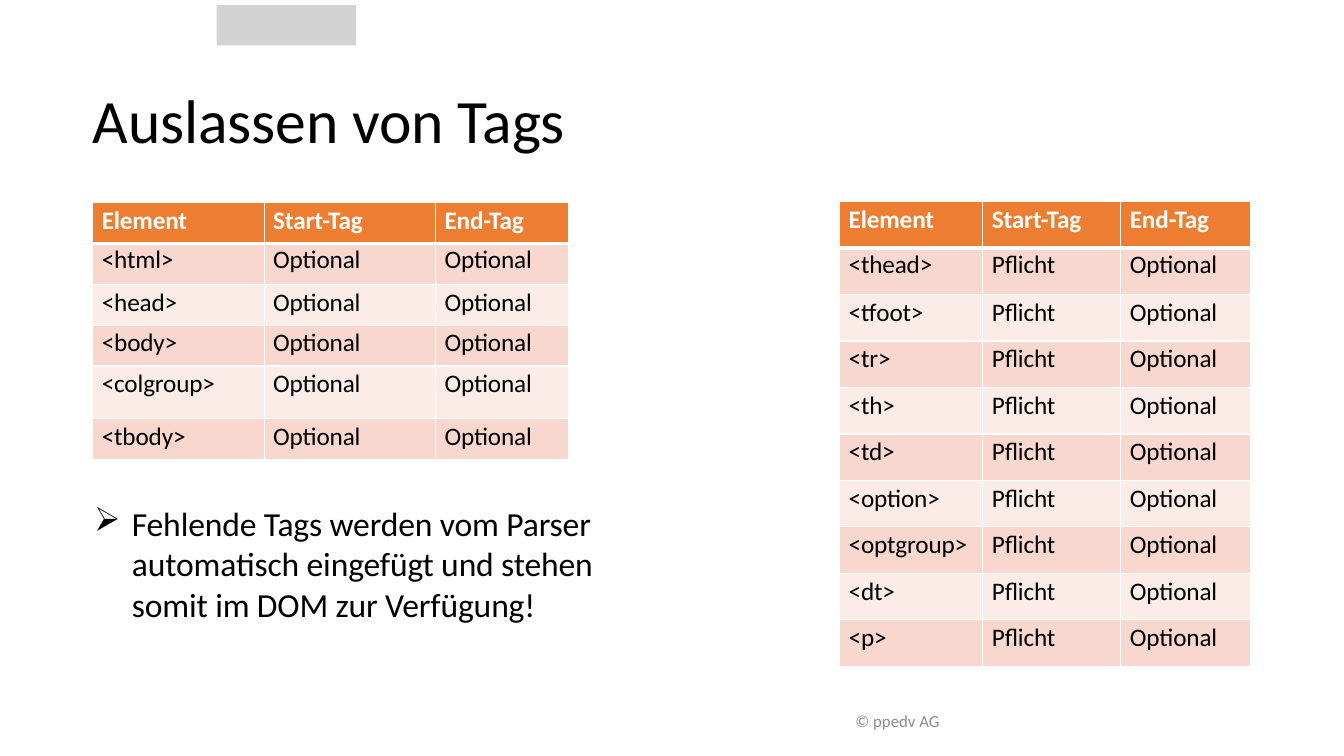
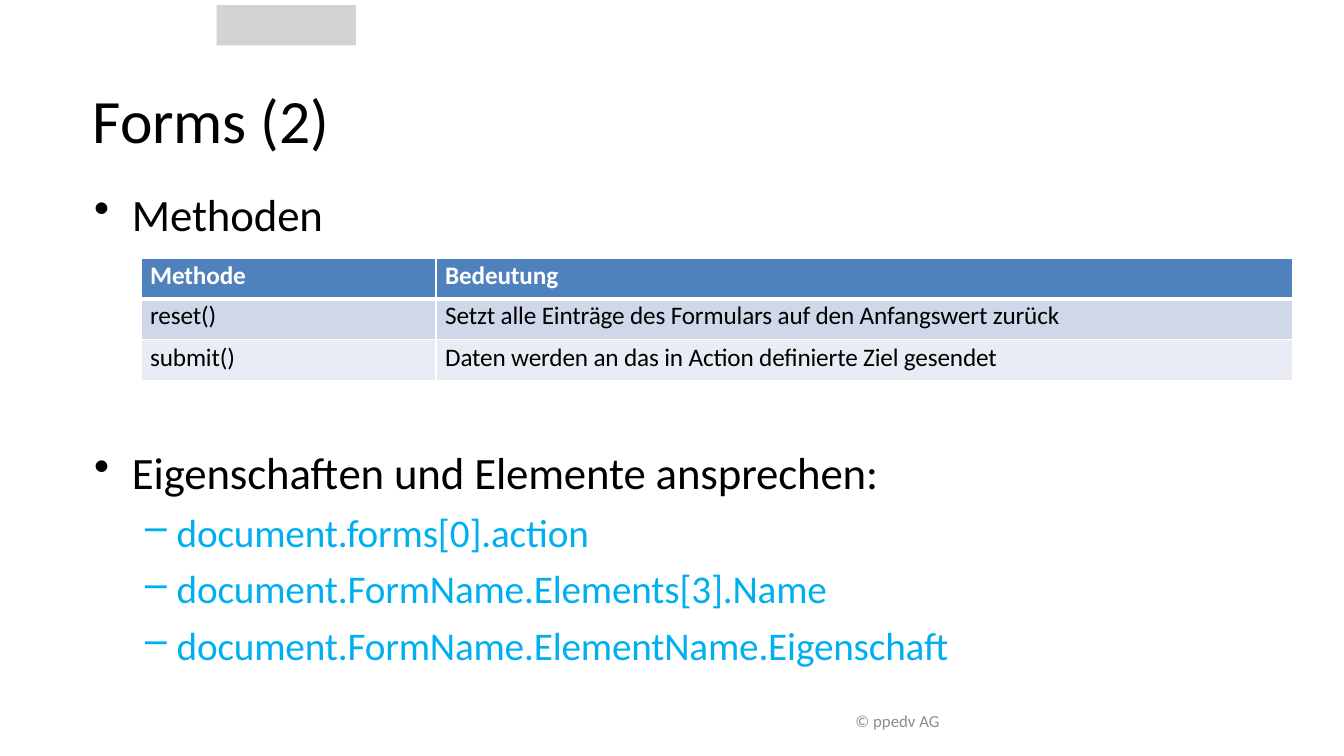
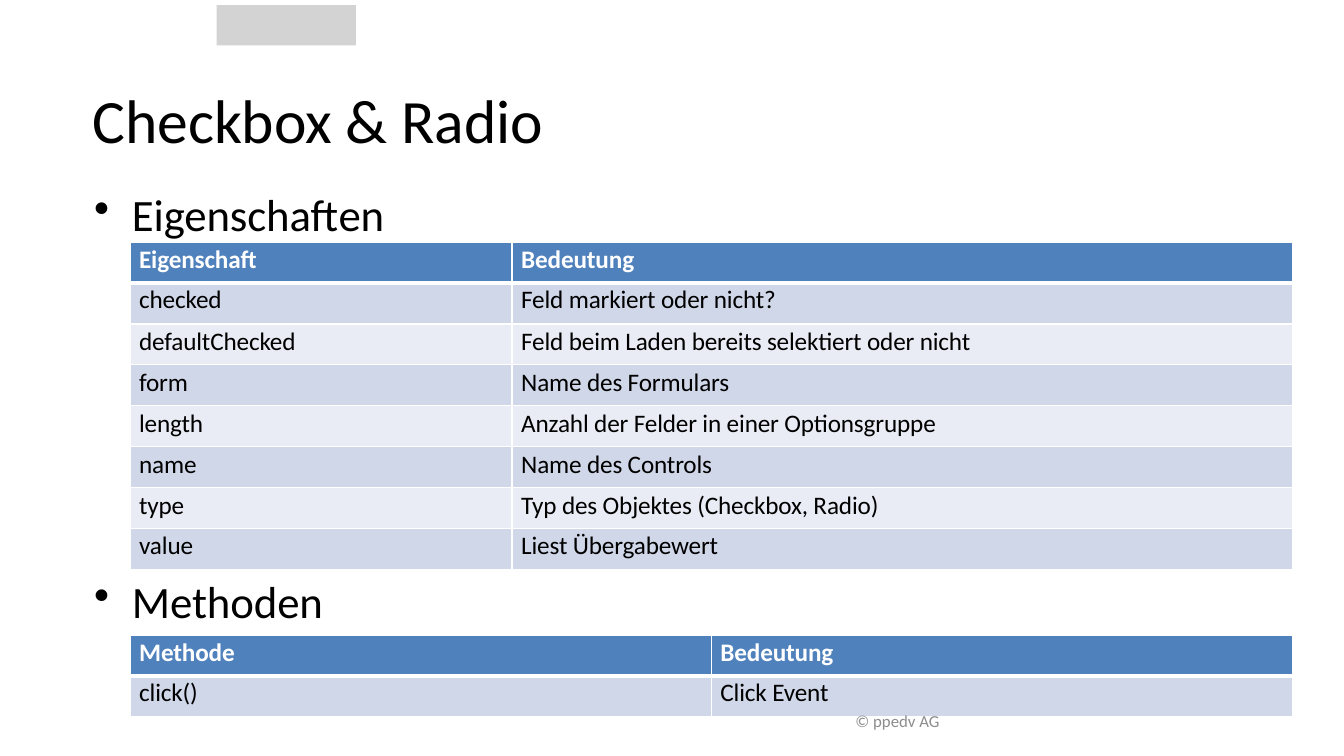
import pptx
import pptx.dml.color
import pptx.enum.shapes
import pptx.enum.text
import pptx.oxml.ns
import pptx.util
import lxml.etree

Pt = pptx.util.Pt
RGBColor = pptx.dml.color.RGBColor
qn = pptx.oxml.ns.qn
ALIGN = pptx.enum.text.PP_ALIGN
ANCHOR = pptx.enum.text.MSO_ANCHOR

FONT = "Calibri"
BLACK = RGBColor(0x00, 0x00, 0x00)
WHITE = RGBColor(0xFF, 0xFF, 0xFF)
LIGHT_GREY = RGBColor(0xD4, 0xD3, 0xD3)
FOOTER_GREY = RGBColor(0x8C, 0x8C, 0x8C)
CODE_BLUE = RGBColor(0x00, 0xAF, 0xEF)
ORANGE_BANDS = (RGBColor(0xED, 0x7D, 0x31), RGBColor(0xF8, 0xD7, 0xCE), RGBColor(0xFC, 0xEC, 0xE8))
BLUE_BANDS = (RGBColor(0x4F, 0x81, 0xBC), RGBColor(0xD0, 0xD7, 0xE8), RGBColor(0xE9, 0xEC, 0xF4))

LEFT = 66.24
ROW_HEIGHT = 29.2
THIN, THICK = 1, 3
INDENTS = ((28, -27), (60, -22.5))


def write_text(paragraph, text, size=18, color=BLACK, bold=False, align=ALIGN.LEFT,
               bullet=None, level=0, space_before=0, spacing=-0.1):
    paragraph.alignment = align
    paragraph.level = level
    if space_before:
        paragraph.space_before = Pt(space_before)
    if bullet:
        properties = paragraph._p.get_or_add_pPr()
        margin, indent = INDENTS[level]
        properties.set("marL", str(Pt(margin)))
        properties.set("indent", str(Pt(indent)))
        lxml.etree.SubElement(properties, qn("a:buChar")).set("char", bullet)
    run = paragraph.add_run()
    run.text = text
    run.font.name = FONT
    run.font.size = Pt(size)
    run.font.bold = bold
    run.font.color.rgb = color
    run._r.get_or_add_rPr().set("spc", str(round(spacing * 100)))


def set_margins(target, left=0, top=0, right=0, bottom=0):
    target.margin_left, target.margin_top = Pt(left), Pt(top)
    target.margin_right, target.margin_bottom = Pt(right), Pt(bottom)


def add_text_box(slide, left, top, width, height):
    frame = slide.shapes.add_textbox(Pt(left), Pt(top), Pt(width), Pt(height)).text_frame
    frame.word_wrap = True
    set_margins(frame)
    return frame


def add_heading(slide, text, top, width):
    frame = add_text_box(slide, LEFT, top, width, 41)
    write_text(frame.paragraphs[0], text, size=32, bullet="•")
    return frame


def add_slide(presentation, title_text):
    slide = presentation.slides.add_slide(presentation.slide_layouts[5])
    band = slide.shapes.add_shape(pptx.enum.shapes.MSO_SHAPE.RECTANGLE,
                                  Pt(154.8), Pt(3.6), Pt(99.4), Pt(28.8))
    band.shadow.inherit = False
    band.fill.solid()
    band.fill.fore_color.rgb = LIGHT_GREY
    band.line.fill.background()

    title = slide.shapes.title
    title.left, title.top, title.width, title.height = Pt(LEFT), Pt(36), Pt(828), Pt(97.2)
    title.text_frame.vertical_anchor = ANCHOR.MIDDLE
    set_margins(title.text_frame)
    write_text(title.text_frame.paragraphs[0], title_text, size=44)
    return slide


def add_footer(slide):
    frame = add_text_box(slide, LEFT, 500.4, 612, 28.8)
    frame.vertical_anchor = ANCHOR.MIDDLE
    set_margins(frame, left=7.2, top=3.6, right=7.2, bottom=3.6)
    write_text(frame.paragraphs[0], "© ppedv AG", size=12, color=FOOTER_GREY,
               align=ALIGN.RIGHT, spacing=0)


def set_borders(cell, top, bottom):
    properties = cell._tc.get_or_add_tcPr()
    sides = (("a:lnL", THIN), ("a:lnR", THIN), ("a:lnT", top), ("a:lnB", bottom))
    for position, (tag, width) in enumerate(sides):
        line = lxml.etree.Element(qn(tag), w=str(Pt(width)))
        fill = lxml.etree.SubElement(line, qn("a:solidFill"))
        lxml.etree.SubElement(fill, qn("a:srgbClr")).set("val", str(WHITE))
        properties.insert(position, line)


def add_table(slide, left, top, widths, rows, bands, row_height=ROW_HEIGHT):
    table = slide.shapes.add_table(len(rows), len(widths), Pt(left), Pt(top),
                                   Pt(sum(widths)), Pt(row_height * len(rows))).table
    for column, width in zip(table.columns, widths):
        column.width = Pt(width)
    for row_index, texts in enumerate(rows):
        table.rows[row_index].height = Pt(row_height)
        header = row_index == 0
        band = bands[0] if header else bands[2 - row_index % 2]
        for column_index, text in enumerate(texts):
            cell = table.cell(row_index, column_index)
            set_margins(cell, left=6.5, top=1 if row_index == 1 else 1.9)
            cell.fill.solid()
            cell.fill.fore_color.rgb = band
            set_borders(cell, THICK if row_index == 1 else THIN, THICK if header else THIN)
            write_text(cell.text_frame.paragraphs[0], text,
                       color=WHITE if header else BLACK, bold=header)
    return table


def build_tags_slide(presentation):
    slide = add_slide(presentation, "Auslassen von Tags")
    header = ("Element", "Start-Tag", "End-Tag")
    optional_tags = ("<html>", "<head>", "<body>", "<colgroup>", "<tbody>")
    required_tags = ("<thead>", "<tfoot>", "<tr>", "<th>", "<td>",
                     "<option>", "<optgroup>", "<dt>", "<p>")
    optional_table = add_table(slide, LEFT, 144.72, (122.4, 122.4, 95.04),
                               [header] + [(tag, "Optional", "Optional") for tag in optional_tags],
                               ORANGE_BANDS)
    optional_table.rows[4].height = Pt(37.5)
    add_table(slide, 599.76, 144, (102.24, 98.64, 92.88),
              [header] + [(tag, "Pflicht", "Optional") for tag in required_tags],
              ORANGE_BANDS, row_height=33.2)
    note = add_text_box(slide, LEFT, 359.3, 376.6, 87.1)
    write_text(note.paragraphs[0],
               "Fehlende Tags werden vom Parser automatisch eingefügt und stehen "
               "somit im DOM zur Verfügung!", size=24, bullet="➢")
    add_footer(slide)


def build_forms_slide(presentation):
    slide = add_slide(presentation, "Forms (2)")
    add_heading(slide, "Methoden", 133.2, 166.3)
    access = add_text_box(slide, LEFT, 317.5, 617, 162)
    write_text(access.paragraphs[0], "Eigenschaften und Elemente ansprechen:",
               size=32, bullet="•")
    for expression in ("document.forms[0].action",
                       "document.FormName.Elements[3].Name",
                       "document.FormName.ElementName.Eigenschaft"):
        write_text(access.add_paragraph(), expression, size=28, color=CODE_BLUE,
                   bullet="–", level=1, space_before=6.8)
    add_table(slide, 100.8, 184.3, (210.7, 611.6), (
        ("Methode", "Bedeutung"),
        ("reset()", "Setzt alle Einträge des Formulars auf den Anfangswert zurück"),
        ("submit()", "Daten werden an das in Action definierte Ziel gesendet"),
    ), BLUE_BANDS)
    add_footer(slide)


def build_checkbox_slide(presentation):
    slide = add_slide(presentation, "Checkbox & Radio")
    add_heading(slide, "Eigenschaften", 133.2, 211)
    add_heading(slide, "Methoden", 409.7, 166.3)
    add_table(slide, 92.9, 173, (272.9, 557.5), (
        ("Eigenschaft", "Bedeutung"),
        ("checked", "Feld markiert oder nicht?"),
        ("defaultChecked", "Feld beim Laden bereits selektiert oder nicht"),
        ("form", "Name des Formulars"),
        ("length", "Anzahl der Felder in einer Optionsgruppe"),
        ("name", "Name des Controls"),
        ("type", "Typ des Objektes (Checkbox, Radio)"),
        ("value", "Liest Übergabewert"),
    ), BLUE_BANDS)
    add_table(slide, 92.9, 453.6, (415.2, 415.2), (
        ("Methode", "Bedeutung"),
        ("click()", "Click Event"),
    ), BLUE_BANDS)
    add_footer(slide)


def main():
    presentation = pptx.Presentation()
    presentation.slide_width, presentation.slide_height = Pt(960), Pt(540)
    build_tags_slide(presentation)
    build_forms_slide(presentation)
    build_checkbox_slide(presentation)
    presentation.save("out.pptx")


if __name__ == "__main__":
    main()
